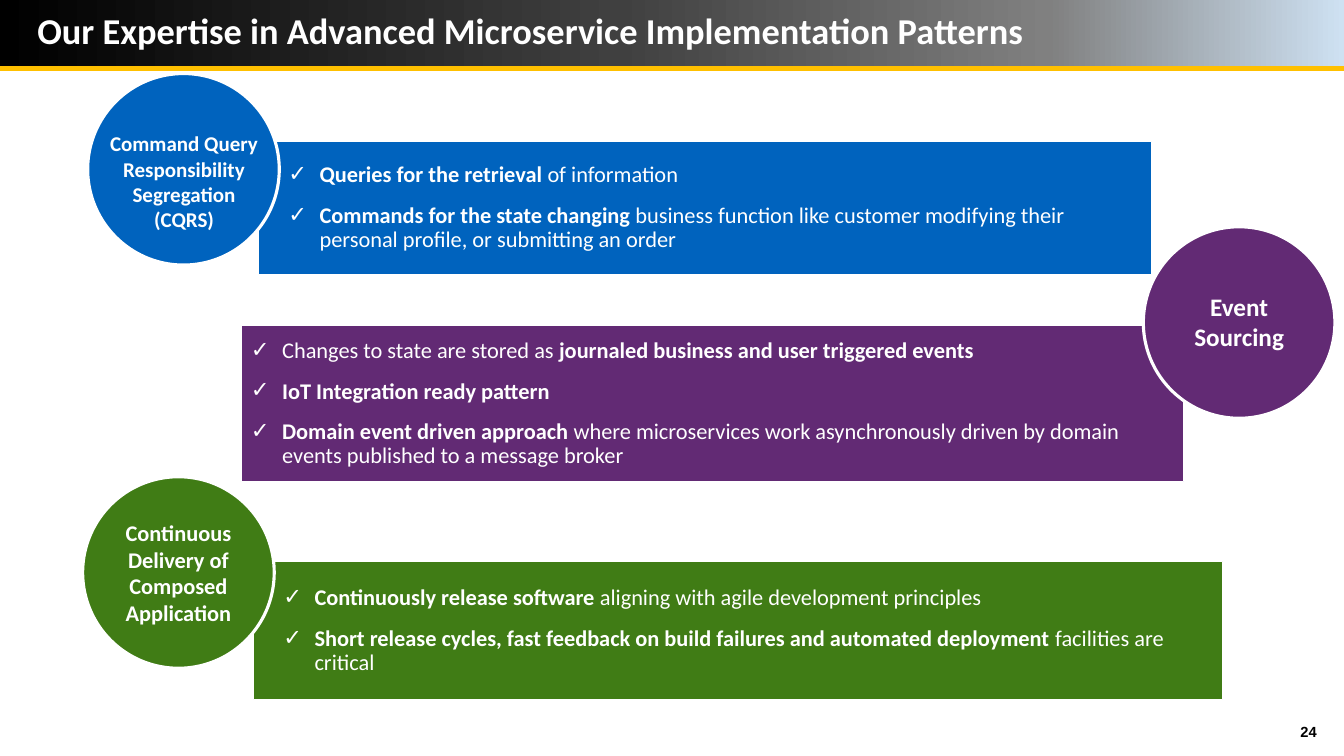
from dataclasses import dataclass

from lxml.etree import SubElement
from pptx import Presentation
from pptx.dml.color import RGBColor
from pptx.enum.shapes import MSO_CONNECTOR, MSO_SHAPE
from pptx.enum.text import MSO_ANCHOR, PP_ALIGN
from pptx.oxml.ns import qn
from pptx.util import Inches, Pt


@dataclass(frozen=True)
class Theme:
    white: str = "FFFFFF"
    black: str = "000000"
    gold: str = "FFC000"
    blue: str = "0063BE"
    purple: str = "622A74"
    green: str = "407C15"
    header: tuple = ((0, "000000"), (46, "404040"), (78, "808080"), (100, "CEE1F2"))
    font: str = "Calibri"
    number_font: str = "Arial"
    title: float = 26
    body: float = 16
    number: float = 10.5
    spacing: float = 17
    gap: float = 6


T = Theme()
WIDTH, HEIGHT = 13.33, 7.5
HEADER_HEIGHT = 0.68
DIAMETER = 1.9
INDENT = 0.31

TITLE = "Our Expertise in Advanced Microservice Implementation Patterns"
PAGE = "24"

PATTERNS = [
    {
        "color": T.blue,
        "bar": (2.56, 1.4, 8.86, 1.32),
        "inset": 0.3,
        "bullets": [
            [("Queries for the retrieval ", True), ("of information", False)],
            [("Commands for the state changing ", True),
             ("business function like customer modifying their personal profile, "
              "or submitting an order", False)],
        ],
        "circle": (0.87, 0.73),
        "label": ["Command Query Responsibility Segregation", "(CQRS)"],
        "label_box": (0.97, 1.25, 1.71, 1.54),
        "size": 15,
    },
    {
        "color": T.purple,
        "bar": (2.39, 3.23, 9.35, 1.55),
        "inset": 0.1,
        "bullets": [
            [("Changes to state are stored as ", False),
             ("journaled business and user triggered events", True)],
            [("IoT Integration ready pattern", True)],
            [("Domain event driven approach ", True),
             ("where microservices work asynchronously driven by domain events "
              "published to a message broker", False)],
        ],
        "circle": (11.34, 2.25),
        "label": ["Event Sourcing"],
        "label_box": (11.55, 2.84, 1.48, 0.71),
        "size": 18,
    },
    {
        "color": T.green,
        "bar": (2.51, 5.57, 9.62, 1.37),
        "inset": 0.3,
        "bullets": [
            [("Continuously release software ", True),
             ("aligning with agile development principles", False)],
            [("Short release cycles, fast feedback on build failures and "
              "automated deployment", True), (" facilities are critical", False)],
        ],
        "circle": (0.82, 4.73),
        "label": ["Continuous Delivery of Composed Application"],
        "label_box": None,
        "size": 16,
    },
]


def rgb(color):
    return RGBColor.from_string(color)


def box(values):
    return [Inches(v) for v in values]


def style(run, size, color=T.white, bold=True, name=T.font):
    f = run.font
    f.size, f.bold, f.name = Pt(size), bold, name
    f.color.rgb = rgb(color)


def add_block(s, kind, area, color, line_width):
    sp = s.shapes.add_shape(kind, *box(area))
    sp.shadow.inherit = False
    sp.fill.solid()
    sp.fill.fore_color.rgb = rgb(color)
    sp.line.color.rgb = rgb(T.white)
    sp.line.width = Pt(line_width)
    return sp


def write_lines(tf, lines, size, color=T.white, align=PP_ALIGN.CENTER, name=T.font):
    tf.word_wrap = True
    tf.text = "\n".join(lines)
    for p in tf.paragraphs:
        p.alignment = align
        for r in p.runs:
            style(r, size, color, name=name)


def add_check(p):
    pPr = p._p.get_or_add_pPr()
    pPr.set("marL", str(Inches(INDENT)))
    pPr.set("indent", str(-Inches(INDENT)))
    SubElement(pPr, qn("a:buFont"), typeface=T.font)
    SubElement(pPr, qn("a:buChar"), char="✓")


def add_bar(s, pattern):
    sp = add_block(s, MSO_SHAPE.RECTANGLE, pattern["bar"], pattern["color"], 0.75)
    tf = sp.text_frame
    tf.word_wrap = True
    tf.vertical_anchor = MSO_ANCHOR.MIDDLE
    tf.margin_left = Inches(pattern["inset"])
    last = len(pattern["bullets"]) - 1
    for i, bullet in enumerate(pattern["bullets"]):
        p = tf.add_paragraph() if i else tf.paragraphs[0]
        add_check(p)
        p.alignment = PP_ALIGN.LEFT
        p.line_spacing = Pt(T.spacing)
        p.space_before = Pt(T.gap if i else 0)
        p.space_after = Pt(T.gap if i < last else 0)
        for text, bold in bullet:
            r = p.add_run()
            r.text = text
            style(r, T.body, bold=bold)


def add_circle(s, pattern):
    area = (*pattern["circle"], DIAMETER, DIAMETER)
    sp = add_block(s, MSO_SHAPE.OVAL, area, pattern["color"], 2.25)
    if pattern["label_box"]:
        sp = s.shapes.add_textbox(*box(pattern["label_box"]))
    write_lines(sp.text_frame, pattern["label"], pattern["size"])


def add_header(s):
    sp = add_block(s, MSO_SHAPE.RECTANGLE, (0, 0, WIDTH, HEADER_HEIGHT), T.black, 0)
    sp.line.fill.background()
    sp.fill.gradient()
    sp.fill.gradient_angle = 0
    stops = sp.fill._fill._gradFill.find(qn("a:gsLst"))
    for stop in list(stops):
        stops.remove(stop)
    for position, color in T.header:
        stop = SubElement(stops, qn("a:gs"), pos=str(position * 1000))
        SubElement(stop, qn("a:srgbClr"), val=color)
    rule = s.shapes.add_connector(
        MSO_CONNECTOR.STRAIGHT, *box((0, HEADER_HEIGHT, WIDTH, HEADER_HEIGHT)))
    rule.line.color.rgb = rgb(T.gold)
    rule.line.width = Pt(3)
    SubElement(rule._element.spPr, qn("a:effectLst"))

    title = s.shapes.title
    s.shapes._spTree.append(title._element)
    title.left, title.top, title.width, title.height = box((0.27, 0.03, 10.19, 0.54))
    title.text_frame.vertical_anchor = MSO_ANCHOR.MIDDLE
    write_lines(title.text_frame, [TITLE], T.title, align=PP_ALIGN.LEFT)


def main():
    prs = Presentation()
    prs.slide_width, prs.slide_height = box((WIDTH, HEIGHT))
    s = prs.slides.add_slide(prs.slide_layouts[5])
    add_header(s)
    for pattern in PATTERNS:
        add_bar(s, pattern)
    for pattern in PATTERNS:
        add_circle(s, pattern)
    number = s.shapes.add_textbox(*box((12.8, 7.12, 0.53, 0.29)))
    write_lines(number.text_frame, [PAGE], T.number, T.black, PP_ALIGN.LEFT, T.number_font)
    prs.save("out.pptx")


if __name__ == "__main__":
    main()
